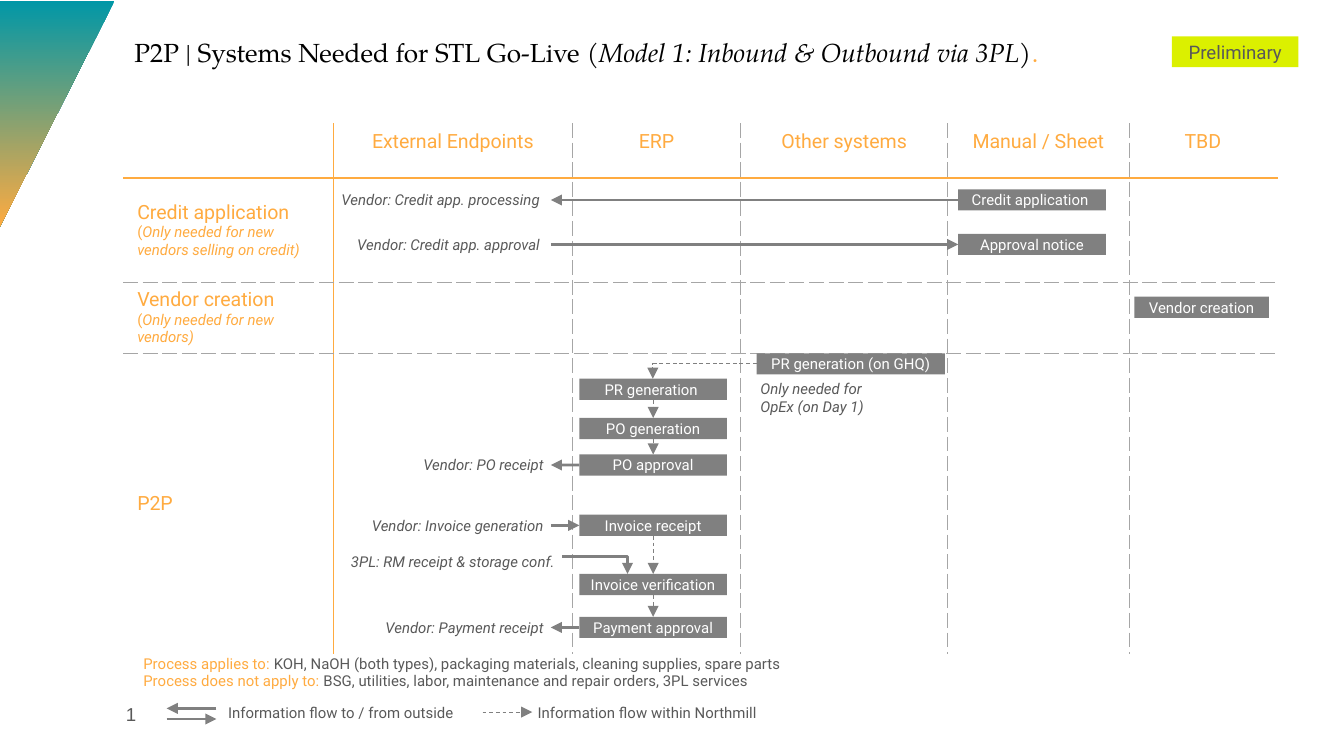
"""Build the P2P systems swimlane slide."""
from lxml.etree import SubElement
from pptx import Presentation
from pptx.dml.color import RGBColor
from pptx.enum.dml import MSO_LINE
from pptx.enum.shapes import MSO_CONNECTOR as CONN, MSO_SHAPE as SHAPE
from pptx.enum.text import MSO_ANCHOR as ANCHOR, PP_ALIGN as ALIGN
from pptx.oxml.ns import qn
from pptx.util import Cm, Pt

ORANGE = RGBColor(0xFF, 0xAB, 0x40)
TEAL = RGBColor(0x00, 0x97, 0xA7)
LIME = RGBColor(0xDB, 0xF0, 0x00)
GRAY = RGBColor(0x80, 0x80, 0x80)
GRID = RGBColor(0xA6, 0xA6, 0xA6)
TEXT = RGBColor(0x59, 0x59, 0x59)
WHITE = RGBColor(0xFF, 0xFF, 0xFF)
BLACK = RGBColor(0x00, 0x00, 0x00)


def write(tf, runs, align=ALIGN.LEFT, anchor=ANCHOR.TOP, inset=None, font="Roboto"):
    """Fill a text frame with (text, size, colour, italic) runs."""
    tf.word_wrap = True
    tf.vertical_anchor = anchor
    if inset is not None:
        tf.margin_left = tf.margin_right = tf.margin_top = tf.margin_bottom = Cm(inset)
    p = tf.paragraphs[0]
    p.alignment = align
    for text, size, color, italic in runs:
        if text == "\n":
            p.add_line_break()
            SubElement(p._p[-1], qn("a:rPr"), sz=str(int(size * 100)))
            continue
        r = p.add_run()
        r.text = text
        r.font.name = font
        r.font.size = Pt(size)
        r.font.color.rgb = color
        r.font.italic = italic


def add_arrow(x1, y1, x2, y2, dashed=False, bent=False):
    """Draw an arrow, solid for outside flows and dashed for inside ones."""
    kind = CONN.ELBOW if bent else CONN.STRAIGHT
    line = shapes.add_connector(kind, Cm(x1), Cm(y1), Cm(x2), Cm(y2))
    line.line.color.rgb = GRAY
    line.line.width = Pt(0.5 if dashed else 1.5)
    if dashed:
        line.line.dash_style = MSO_LINE.DASH
    sp_pr = line._element.spPr
    if bent:
        sp_pr.find(qn("a:prstGeom")).set("prst", "bentConnector2")
    SubElement(line.line._get_or_add_ln(), qn("a:tailEnd"), type="triangle")
    SubElement(sp_pr, qn("a:effectLst"))
    return line


prs = Presentation()
prs.slide_width, prs.slide_height = Cm(25.4), Cm(14.29)
s = prs.slides.add_slide(prs.slide_layouts[5])
shapes = s.shapes

title = shapes.title
title.left, title.top, title.width, title.height = Cm(2.54), Cm(0.69), Cm(21.59), Cm(0.86)
write(title.text_frame, [
    ("P2P | Systems Needed for STL Go-Live ", 14, BLACK, False),
    ("(Model 1: Inbound & Outbound via 3PL)", 14, BLACK, True),
    (".", 14, ORANGE, False),
], inset=0, font="TeX Gyre Pagella")

widths = [3.96, 4.52, 3.18, 3.91, 3.43, 2.79]
heights = [0.97, 1.96, 1.35, 5.69]
headers = ["", "External Endpoints", "ERP", "Other systems", "Manual / Sheet", "TBD"]
stages = [("Credit application", "Only needed for new vendors selling on credit)"),
          ("Vendor creation", "Only needed for new vendors)"), ("P2P", "")]
table = shapes.add_table(len(heights), len(widths), Cm(2.34), Cm(2.34),
                         Cm(sum(widths)), Cm(sum(heights))).table
table.first_row = table.horz_banding = False
for column, width in zip(table.columns, widths):
    column.width = Cm(width)
for row, height in zip(table.rows, heights):
    row.height = Cm(height)

for i in range(len(heights)):
    for j in range(len(widths)):
        cell = table.cell(i, j)
        tc_pr = cell._tc.get_or_add_tcPr()
        edges = [("a:lnL", j, len(widths)), ("a:lnR", j + 1, len(widths)),
                 ("a:lnT", i, len(heights)), ("a:lnB", i + 1, len(heights))]
        for tag, edge, count in edges:
            if edge in (0, count):
                continue
            ln = SubElement(tc_pr, qn(tag), w=str(Pt(1 if edge == 1 else 0.5)))
            fill = SubElement(ln, qn("a:solidFill"))
            SubElement(fill, qn("a:srgbClr"), val=str(ORANGE if edge == 1 else GRID))
            SubElement(ln, qn("a:prstDash"), val="solid" if edge == 1 else "dash")
        cell.fill.background()
        if i == 0 and j > 0:
            write(cell.text_frame, [(headers[j], 10.5, ORANGE, False)], ALIGN.CENTER)
            cell.vertical_anchor = ANCHOR.TOP
        elif i > 0 and j == 0:
            name, note = stages[i - 1]
            runs = [(name, 10.5, ORANGE, False)]
            if note:
                runs += [("\n", 10.5, ORANGE, False), ("(", 8, ORANGE, False), (note, 8, ORANGE, True)]
            write(cell.text_frame, runs)
            cell.vertical_anchor = ANCHOR.MIDDLE

corner = shapes.add_shape(SHAPE.RIGHT_TRIANGLE, Cm(-1.07), Cm(1.07), Cm(4.29), Cm(2.18))
corner.rotation = 90
corner.shadow.inherit = False
corner.line.fill.background()
corner.fill.gradient()
corner.fill.gradient_angle = 0
for stop, color, position in zip(corner.fill.gradient_stops, (TEAL, ORANGE), (0, 1)):
    stop.color.rgb = color
    stop.position = position

add_arrow(7.62, 10.52, 11.86, 10.85, bent=True)
add_arrow(14.3, 6.88, 12.34, 7.16, dashed=True, bent=True)

boxes = {}
for text, left, top, width in [
    ("PR generation ", 10.95, 7.16, 2.79),
    ("PO generation", 10.95, 7.9, 2.79),
    ("PO approval", 10.95, 8.59, 2.79),
    ("Invoice receipt", 10.95, 9.73, 2.79),
    ("Invoice verification", 10.95, 10.85, 2.79),
    ("Payment approval", 10.95, 11.66, 2.79),
    ("Credit application ", 18.11, 3.58, 2.79),
    ("Approval notice", 18.11, 4.42, 2.79),
    ("Vendor creation", 21.44, 5.61, 2.54),
    ("PR generation (on GHQ)", 14.3, 6.68, 3.56),
    ("Preliminary", 22.15, 0.69, 2.39),
    ("3PL: RM receipt & storage conf.", 6.35, 10.49, 4.27),
]:
    fill, color, size, height, align, italic = GRAY, WHITE, 8, 0.4, ALIGN.CENTER, False
    if text == "Preliminary":
        fill, color, size, height = LIME, TEXT, 10, 0.58
    elif text.startswith("3PL"):
        fill, color, height, align, italic = WHITE, TEXT, 0.23, ALIGN.RIGHT, True
    sp = shapes.add_shape(SHAPE.RECTANGLE, Cm(left), Cm(top), Cm(width), Cm(height))
    sp.shadow.inherit = False
    sp.fill.solid()
    sp.fill.fore_color.rgb = fill
    sp.line.fill.background()
    write(sp.text_frame, [(text, size, color, italic)], align, ANCHOR.MIDDLE, 0.13)
    boxes[text.strip()] = sp

for start, end in [("PR generation", "PO generation"), ("PO generation", "PO approval"),
                   ("Invoice receipt", "Invoice verification"),
                   ("Invoice verification", "Payment approval")]:
    line = add_arrow(0, 0, 1, 1, dashed=True)
    line.begin_connect(boxes[start], 2)
    line.end_connect(boxes[end], 0)

for label, name, outbound in [
    ("Vendor: Credit app. processing ", "Credit application", True),
    ("Vendor: Credit app. approval ", "Approval notice", False),
    ("Vendor: PO receipt", "PO approval", True),
    ("Vendor: Invoice generation", "Invoice receipt", False),
    ("Vendor: Payment receipt", "Payment approval", True),
]:
    box = boxes[name]
    tb = shapes.add_textbox(Cm(5.33), box.top, Cm(5.08), box.height)
    write(tb.text_frame, [(label, 8, TEXT, True)], ALIGN.RIGHT, ANCHOR.MIDDLE, 0.13)
    y = (box.top + box.height // 2) / Cm(1)
    line = add_arrow(10.41, y, 10.41, y)
    if outbound:
        line.begin_connect(box, 1)
        line.end_x, line.end_y = Cm(10.41), Cm(y)
    else:
        line.end_connect(box, 1)

add_arrow(4.09, 13.39, 3.15, 13.39)
add_arrow(3.15, 13.59, 4.09, 13.59)
add_arrow(9.12, 13.46, 10.06, 13.46, dashed=True)

for left, top, width, height, runs in [
    (14.12, 7.06, 3.02, 0.94, [("Only needed for OpEx (on Day 1)", 8, TEXT, True)]),
    (4.06, 13.18, 5, 0.61, [("Information flow to / from outside", 8, TEXT, False)]),
    (9.91, 13.18, 6.25, 0.61, [("Information flow within Northmill", 8, TEXT, False)]),
    (2.46, 12.24, 16.33, 0.94, [
        ("Process applies to: ", 8, ORANGE, False),
        ("KOH, NaOH (both types), packaging materials, cleaning supplies, spare parts", 8, TEXT, False),
        ("\n", 8, TEXT, False),
        ("Process does not apply to: ", 8, ORANGE, False),
        ("BSG, utilities, labor, maintenance and repair orders, 3PL services", 8, TEXT, False)]),
]:
    tb = shapes.add_textbox(Cm(left), Cm(top), Cm(width), Cm(height))
    write(tb.text_frame, runs)

number = shapes.add_textbox(Cm(2.13), Cm(12.95), Cm(1.52), Cm(1.09))
write(number.text_frame, [("1", 10, TEXT, False)], anchor=ANCHOR.MIDDLE, inset=0.25, font="Arial")

prs.save("out.pptx")
